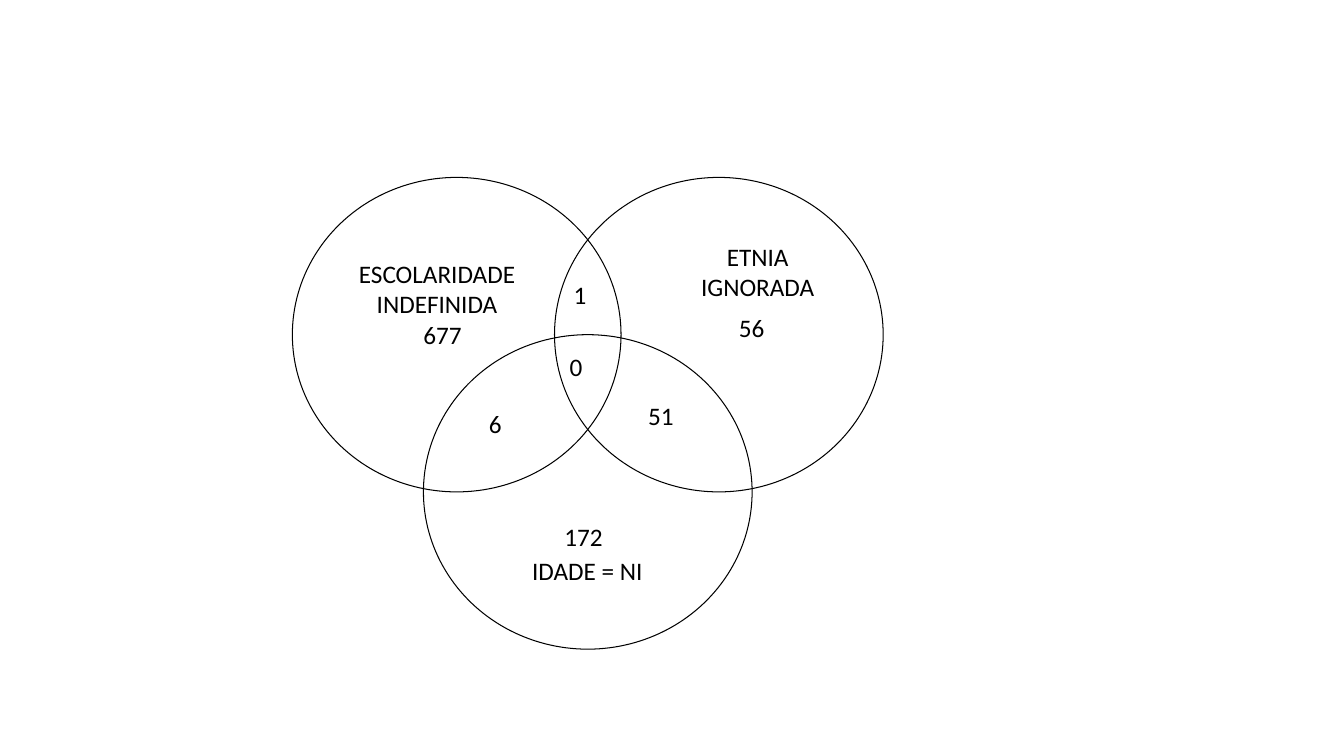
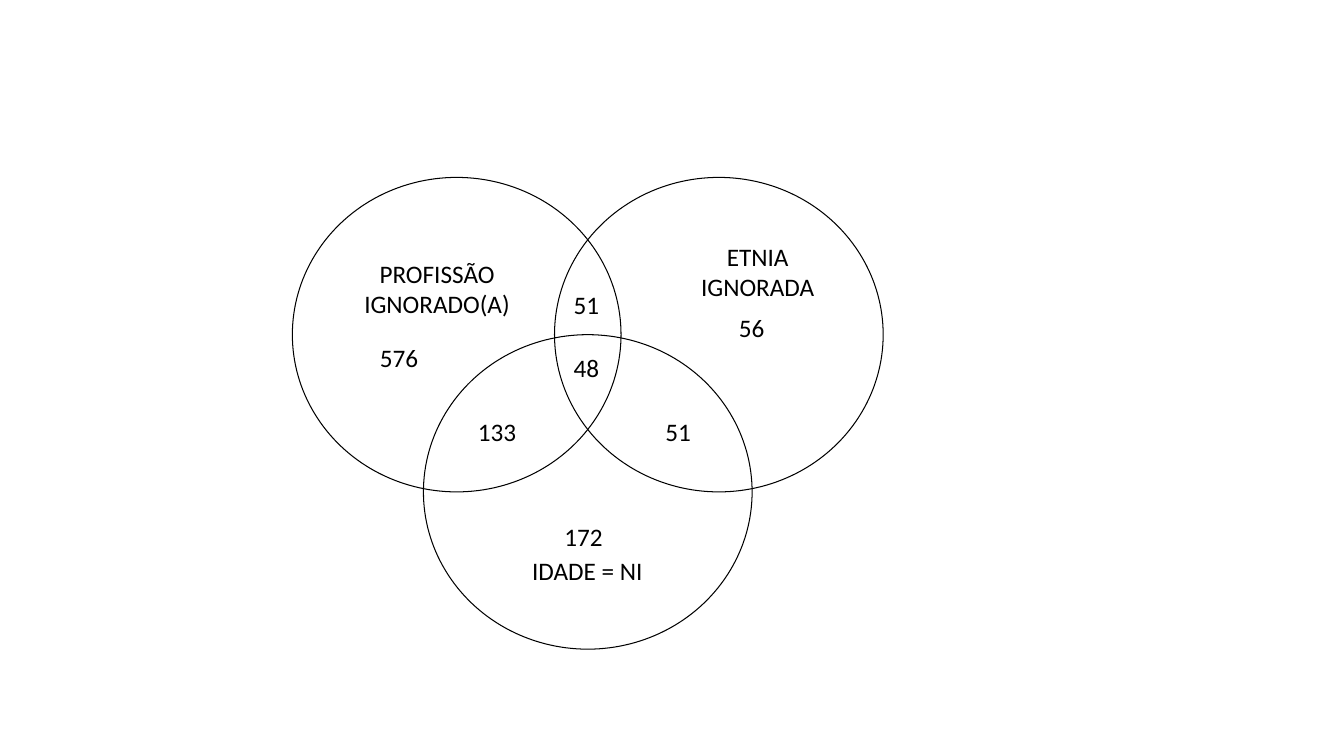
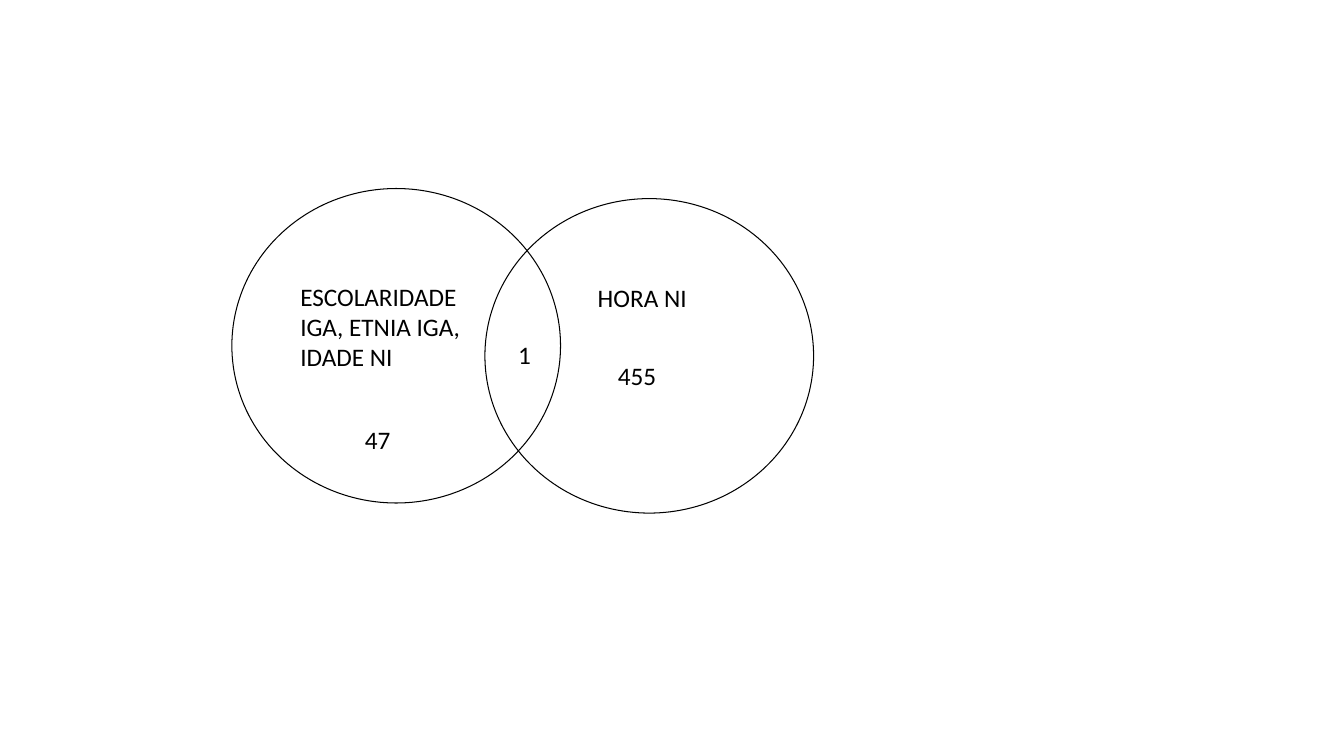
from pptx import Presentation
from pptx.dml.color import RGBColor
from pptx.enum.shapes import MSO_SHAPE
from pptx.enum.text import MSO_AUTO_SIZE, PP_ALIGN
from pptx.util import Inches, Pt

INK = "000000"
FONT = "Calibri"
CIRCLE_WIDTH, CIRCLE_HEIGHT = 3.26, 3.12
LABEL_WIDTH = 1.91
COUNT_SIZE = (0.75, 0.4)
PAIR_COUNT_SIZE = (0.81, 0.4)


def color(hex_value):
    return RGBColor.from_string(hex_value)


def add_circle(slide, left, top):
    circle = slide.shapes.add_shape(
        MSO_SHAPE.OVAL, Inches(left), Inches(top),
        Inches(CIRCLE_WIDTH), Inches(CIRCLE_HEIGHT))
    circle.shadow.inherit = False
    circle.fill.background()
    circle.line.color.rgb = color(INK)
    circle.line.width = Pt(0.75)


def add_text(slide, left, top, size, lines, align=PP_ALIGN.LEFT):
    width, height = size
    box = slide.shapes.add_textbox(
        Inches(left), Inches(top), Inches(width), Inches(height))
    frame = box.text_frame
    frame.word_wrap = True
    frame.auto_size = MSO_AUTO_SIZE.SHAPE_TO_FIT_TEXT
    frame.text = lines
    for paragraph in frame.paragraphs:
        paragraph.alignment = align
        paragraph.font.name = FONT
        paragraph.font.size = Pt(18)
        paragraph.font.color.rgb = color(INK)


def three_set_venn(slide, left, top, first_set, counts):
    step_x, step_y = 2.6, CIRCLE_HEIGHT / 2
    for dx, dy in [(0, 0), (step_x, 0), (step_x / 2, step_y)]:
        add_circle(slide, left + dx, top + dy)

    set_labels = [
        (first_set, 0.48, 0.75, 0.71),
        ("ETNIA IGNORADA", 3.66, 0.58, 0.71),
        ("IDADE = NI", 1.97, 3.7, 0.4),
    ]
    for label, dx, dy, height in set_labels:
        add_text(slide, left + dx, top + dy, (LABEL_WIDTH, height),
                 label, PP_ALIGN.CENTER)

    shared_counts = [("56", 4.33, 1.29), ("172", 2.6, 3.36)]
    for count, dx, dy in shared_counts + counts:
        add_text(slide, left + dx, top + dy, COUNT_SIZE, count)


def two_set_venn(slide, left, top):
    for dx, dy in [(0, 0), (2.51, 0.1)]:
        add_circle(slide, left + dx, top + dy)

    texts = [
        ("ESCOLARIDADE IGA, ETNIA IGA, IDADE NI", 0.58, 0.87, (2.12, 1.01)),
        ("47", 1.22, 2.29, PAIR_COUNT_SIZE),
        ("1", 2.74, 1.45, PAIR_COUNT_SIZE),
        ("HORA NI", 3.53, 0.88, (2.12, 0.4)),
        ("455", 3.73, 1.66, (1.06, 0.41)),
    ]
    for text, dx, dy, size in texts:
        add_text(slide, left + dx, top + dy, size, text)


deck = Presentation()
deck.slide_width, deck.slide_height = Inches(13.33), Inches(7.5)
blank = deck.slide_layouts[6]

schooling_counts = [
    ("677", 1.2, 1.36), ("51", 3.43, 2.16), ("0", 2.65, 1.68),
    ("6", 1.85, 2.24), ("1", 2.69, 0.96),
]
profession_counts = [
    ("48", 2.69, 1.69), ("51", 3.6, 2.32), ("51", 2.69, 1.06),
    ("133", 1.74, 2.32), ("576", 0.77, 1.59),
]
for first_set, counts in [
    ("ESCOLARIDADE\nINDEFINIDA", schooling_counts),
    ("PROFISSÃO IGNORADO(A)", profession_counts),
]:
    three_set_venn(deck.slides.add_slide(blank), 2.9, 1.76, first_set, counts)

two_set_venn(deck.slides.add_slide(blank), 2.3, 1.87)

deck.save("out.pptx")
